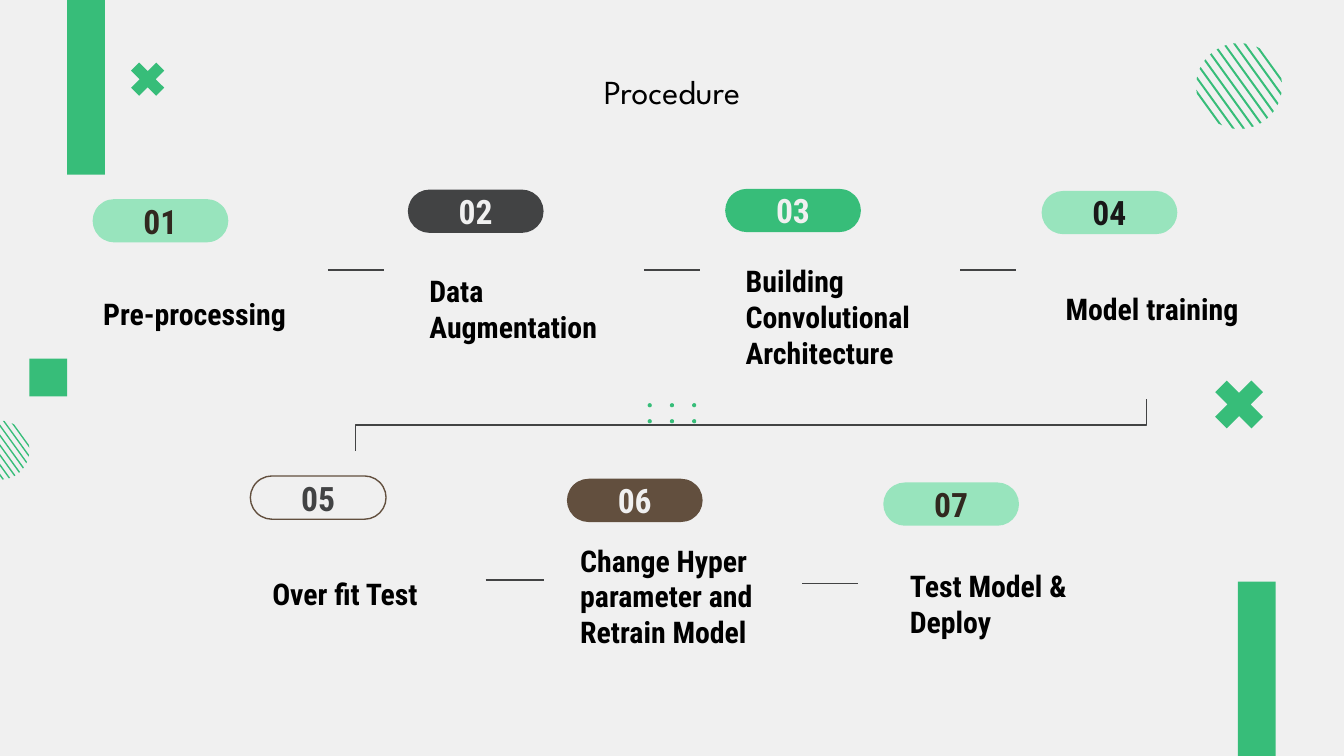
import math

import pptx
import pptx.util
import pptx.dml.color
import pptx.enum.shapes
import pptx.enum.text
import pptx.oxml.ns
import lxml.etree

Pt = pptx.util.Pt
SHAPE = pptx.enum.shapes.MSO_SHAPE
CONNECTOR = pptx.enum.shapes.MSO_CONNECTOR
ALIGN = pptx.enum.text.PP_ALIGN

COLORS = {
    "paper": "F0F0F0", "green": "37BD79", "mint": "98E4BD", "slate": "424344",
    "brown": "624F3E", "umber": "31281F", "ink": "181818", "black": "000000",
}
TITLE = "Procedure"
TITLE_FONT, STEP_FONT = "League Spartan", "Roboto Condensed"

# number, label, badge fill, number colour, badge (left, top), label (left, top)
STEPS = [
    ("01", "Pre-processing", "mint", "umber", (49.6, 106.7), (48.2, 144)),
    ("02", "Data Augmentation", "slate", "paper", (218.5, 101.6), (223, 141.4)),
    ("03", "Building Convolutional Architecture", "green", "paper", (388.5, 101.2), (392.4, 145.8)),
    ("04", "Model training", "mint", "ink", (558, 102.3), (563.8, 141.4)),
    ("05", "Over fit Test", "paper", "slate", (134.1, 255), (138.8, 294.5)),
    ("06", "Change Hyper parameter and Retrain Model", "brown", "paper", (303.7, 256.5), (303.8, 295.5)),
    ("07", "Test Model & Deploy", "mint", "umber", (473.2, 258.5), (480.4, 299.5)),
]
OUTLINED_STEP = "05"
BADGE_SIZE = (72.7, 23.2)
LABEL_SIZE = (115.2, 47.5)

# left, right, height of the dashes between neighbouring steps
DASHES = [
    (175.7, 205.5, 144.6), (345, 375, 144.6), (514.5, 544.3, 144.6),
    (260.2, 291.4, 310.7), (429.8, 459.8, 312.5),
]
ROW_LINK = {"start": (614.2, 213.8), "end": (190.4, 241.6)}

BLOCKS = [(36, 0, 20.2, 93.6), (663.2, 311.6, 20.2, 93.6), (15.8, 192.2, 20.2, 20.2)]
CROSSES = [(66.2, 29.5, 25.9), (645.1, 198, 37.4)]
DOTS = {"left": 347, "top": 216, "step": (11.9, 8.6), "size": 2.2}
# centre x, centre y, radius, visible stripes
HATCHED_DISCS = [(663.8, 46.1, 23), (0, 241.2, 15.8)]
STRIPES = {"count": 10, "angle": 54.2, "reach": 0.88, "width": 0.046}

deck = pptx.Presentation()
deck.slide_width, deck.slide_height = Pt(720), Pt(405)
slide = deck.slides.add_slide(deck.slide_layouts[6])
shapes = slide.shapes


def rgb(name):
    return pptx.dml.color.RGBColor.from_string(COLORS[name])


def paint(shape, fill, outline=None):
    shape.shadow.inherit = False
    shape.fill.solid()
    shape.fill.fore_color.rgb = rgb(fill)
    if outline:
        shape.line.color.rgb = rgb(outline)
        shape.line.width = Pt(0.75)
    else:
        shape.line.fill.background()


def add_preset(kind, box, fill, outline=None):
    shape = shapes.add_shape(kind, *map(Pt, box))
    paint(shape, fill, outline)
    return shape


def write(shape, text, size, font, color, align, bold=True):
    frame = shape.text_frame
    frame.word_wrap = True
    frame.vertical_anchor = pptx.enum.text.MSO_ANCHOR.MIDDLE
    frame.margin_left = frame.margin_right = frame.margin_top = frame.margin_bottom = Pt(7.2)
    paragraph = frame.paragraphs[0]
    paragraph.alignment = align
    run = paragraph.add_run()
    run.text = text
    run.font.size, run.font.name, run.font.bold = Pt(size), font, bold
    run.font.color.rgb = rgb(color)


def add_line(kind, start, end):
    line = shapes.add_connector(kind, *map(Pt, start + end))
    line.line.color.rgb = rgb("slate")
    line.line.width = Pt(0.75)
    properties = line._element.spPr
    lxml.etree.SubElement(properties, pptx.oxml.ns.qn("a:effectLst"))
    return properties


def add_row_link(start, end):
    """Elbow that leaves and arrives vertically: a horizontal one turned by 90 degrees."""
    center_x, center_y = (start[0] + end[0]) / 2, (start[1] + end[1]) / 2
    half_w, half_h = (end[1] - start[1]) / 2, (start[0] - end[0]) / 2
    properties = add_line(CONNECTOR.ELBOW, (center_x - half_w, center_y - half_h),
                          (center_x + half_w, center_y + half_h))
    properties.find(pptx.oxml.ns.qn("a:xfrm")).set("rot", "5400000")


def add_hatched_disc(center_x, center_y, radius):
    """Parallel stripes clipped to a circle; stripes beyond the slide edge are skipped."""
    angle = math.radians(STRIPES["angle"])
    along_x, along_y = math.cos(angle), math.sin(angle)
    for index in range(STRIPES["count"]):
        middle = STRIPES["reach"] * (1 - 2 * index / (STRIPES["count"] - 1))
        corners = []
        for side in (1, -1):
            offset = middle + side * STRIPES["width"] / 2
            half = math.sqrt(1 - offset ** 2)
            for reach in (side * half, -side * half):
                corners.append((center_x + radius * (offset * along_y + reach * along_x),
                                center_y + radius * (reach * along_y - offset * along_x)))
        if max(x for x, _ in corners) <= 0:
            continue
        points = [(Pt(x), Pt(y)) for x, y in corners]
        outline = shapes.build_freeform(*points[0])
        outline.add_line_segments(points[1:], close=True)
        paint(outline.convert_to_shape(), "green")


slide.background.fill.solid()
slide.background.fill.fore_color.rgb = rgb("paper")

for block in BLOCKS:
    add_preset(SHAPE.RECTANGLE, block, "green")
for row in range(2):
    for column in range(3):
        add_preset(SHAPE.OVAL, (DOTS["left"] + column * DOTS["step"][0],
                                DOTS["top"] + row * DOTS["step"][1],
                                DOTS["size"], DOTS["size"]), "green")
for left, top, size in CROSSES:
    cross = add_preset(SHAPE.MATH_MULTIPLY, (left, top, size, size), "green")
    cross.adjustments[0] = 0.235
for disc in HATCHED_DISCS:
    add_hatched_disc(*disc)

title = shapes.add_textbox(Pt(36), Pt(33.8), Pt(648), Pt(29.5))
write(title, TITLE, 18, TITLE_FONT, "black", ALIGN.CENTER, bold=False)

for number, label, fill, number_color, badge_at, label_at in STEPS:
    badge = add_preset(SHAPE.ROUNDED_RECTANGLE, badge_at + BADGE_SIZE, fill,
                       "brown" if number == OUTLINED_STEP else None)
    badge.adjustments[0] = 0.5
    write(badge, number, 18, STEP_FONT, number_color, ALIGN.CENTER)
    caption = shapes.add_textbox(*map(Pt, label_at + LABEL_SIZE))
    write(caption, label, 16, STEP_FONT, "black", ALIGN.LEFT)

for left, right, height in DASHES:
    add_line(CONNECTOR.STRAIGHT, (left, height), (right, height))
add_row_link(**ROW_LINK)

deck.save("out.pptx")
